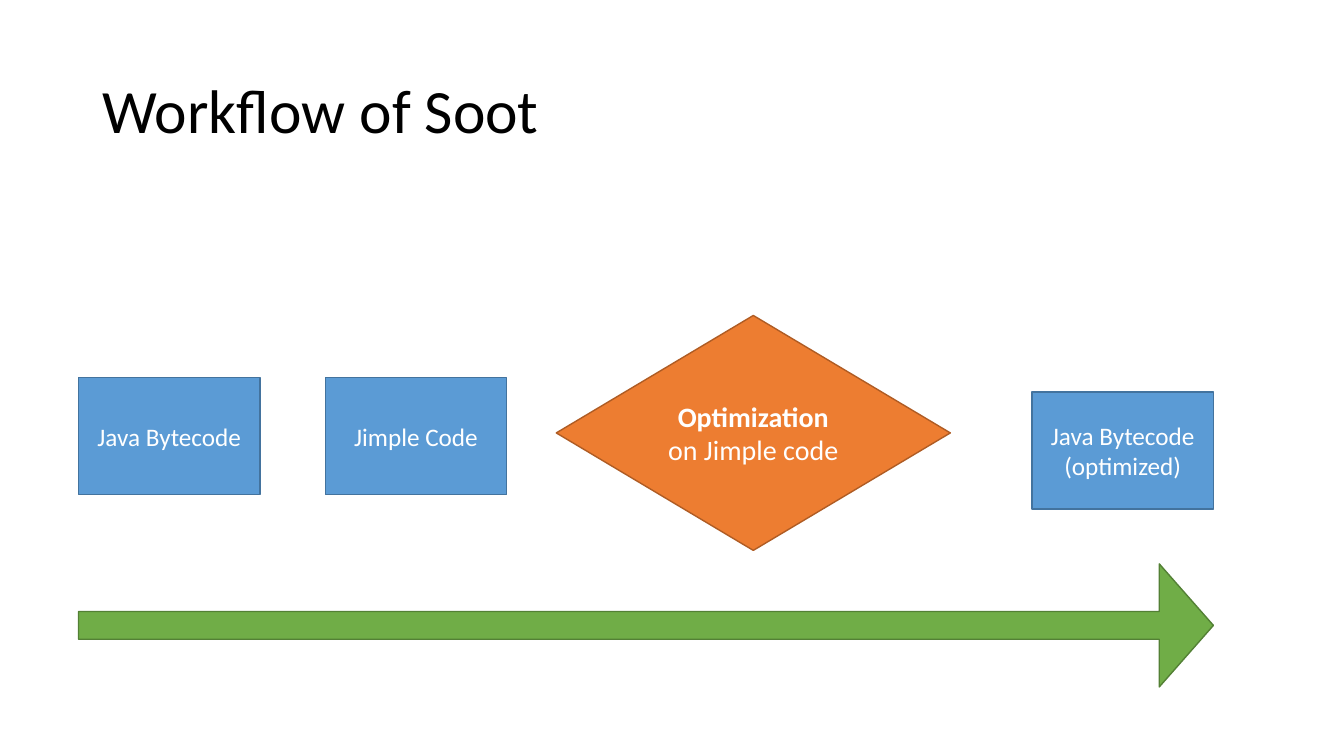
"""Builds the Soot workflow slide."""
from pptx import Presentation
from pptx.dml.color import RGBColor
from pptx.enum.shapes import MSO_SHAPE
from pptx.enum.text import MSO_ANCHOR, PP_ALIGN
from pptx.util import Cm, Pt

RECT = MSO_SHAPE.RECTANGLE
DIAMOND = MSO_SHAPE.FLOWCHART_DECISION
ARROW = MSO_SHAPE.RIGHT_ARROW
MIDDLE = MSO_ANCHOR.MIDDLE
LEFT, CENTER = PP_ALIGN.LEFT, PP_ALIGN.CENTER
FONT = "Calibri"
WHITE, BLACK = "FFFFFF", "000000"
BLUE, ORANGE, GREEN = ("5B9BD5", "43739E"), ("ED7D31", "AF5C24"), ("70AD47", "538035")


def paint(fmt, color):
    """Give a fill or font colour format a hex colour."""
    fmt.rgb = RGBColor.from_string(color)


def write(shape, *lines, size=18, color=WHITE, align=CENTER, space=1.0):
    """Write lines, each a list of (text, bold) runs, into a shape."""
    frame = shape.text_frame
    frame.word_wrap = True
    frame.vertical_anchor = MIDDLE
    for index, runs in enumerate(lines):
        para = frame.add_paragraph() if index else frame.paragraphs[0]
        para.alignment = align
        para.line_spacing = space
        for text, bold in runs:
            run = para.add_run()
            run.text = text
            run.font.name = FONT
            run.font.size = Pt(size)
            run.font.bold = bold
            paint(run.font.color, color)


def draw(slide, kind, box, colors):
    """Add a filled and outlined preset shape in a box given in cm."""
    shape = slide.shapes.add_shape(kind, *map(Cm, box))
    fill, line = colors
    shape.shadow.inherit = False
    shape.fill.solid()
    paint(shape.fill.fore_color, fill)
    paint(shape.line.color, line)
    shape.line.width = Pt(1)
    return shape


def add_title(slide, box, text):
    """Place the slide title."""
    title = slide.shapes.add_textbox(*map(Cm, box))
    write(title, [(text, False)], size=44, color=BLACK, align=LEFT, space=0.9)


def add_arrow(slide, box):
    """Place the arrow that runs under all steps."""
    arrow = draw(slide, ARROW, box, GREEN)
    arrow.adjustments[0] = 0.226
    arrow.adjustments[1] = 0.44


def add_flow(slide, box):
    """Place the code boxes and the optimization step."""
    left, top, width, height = box
    wide, high = 4.57, 2.95
    steps = [
        (0, 1.57, ["Java Bytecode"]),
        (6.22, 1.57, ["Jimple Code"]),
        (width - wide, 1.93, ["Java Bytecode", "(optimized)"]),
    ]
    for x, y, lines in steps:
        step = draw(slide, RECT, (left + x, top + y, wide, high), BLUE)
        write(step, *[[(line, False)] for line in lines])
    choice = draw(slide, DIAMOND, (left + 12.04, top, 9.93, height), ORANGE)
    write(choice, [("Optimization", True), (" on Jimple code", False)], size=20)


def main():
    """Build and save the slide."""
    deck = Presentation()
    deck.slide_width, deck.slide_height = Cm(33.87), Cm(19.05)
    slide = deck.slides.add_slide(deck.slide_layouts[6])
    left, width = 1.98, 28.6
    add_arrow(slide, (left, 14.21, width, 3.1))
    add_title(slide, (2.34, 1.02, 29.21, 3.68), "Workflow of Soot")
    add_flow(slide, (left, 7.95, width, 5.92))
    deck.save("out.pptx")


if __name__ == "__main__":
    main()
